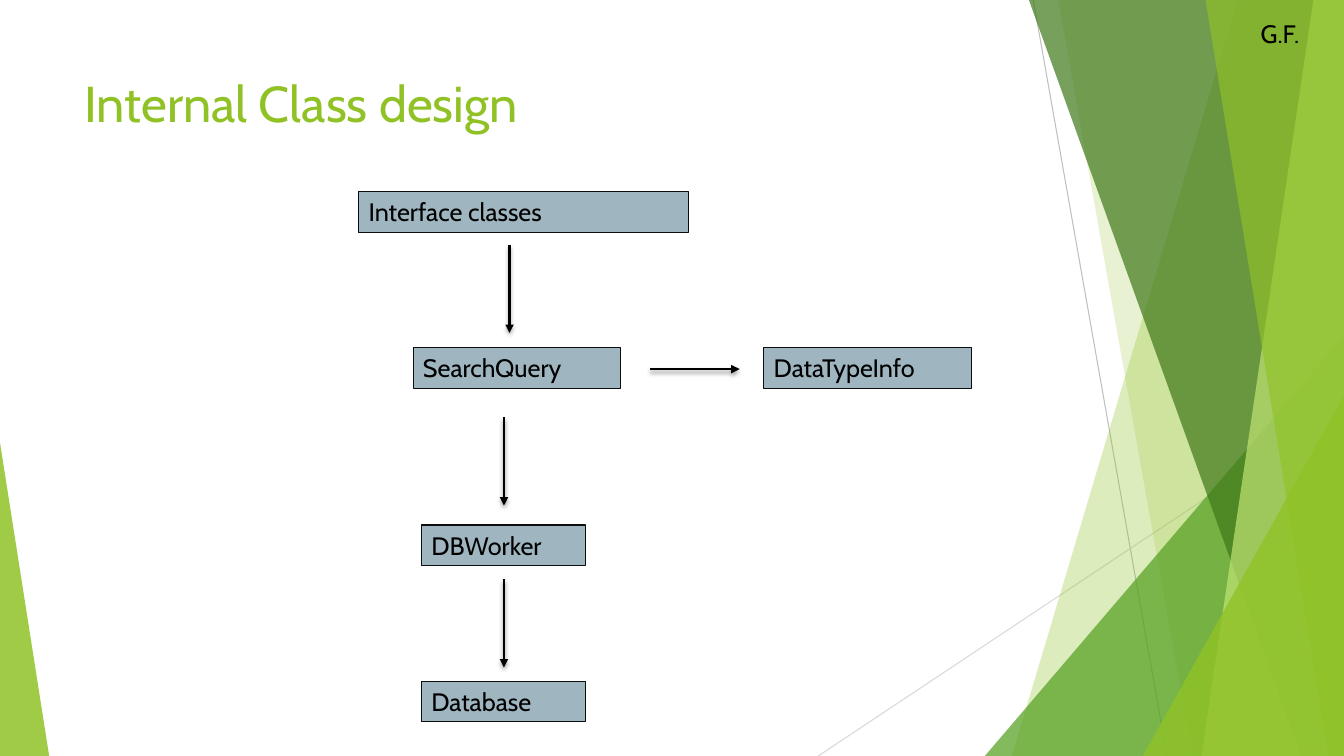
from lxml.etree import SubElement
from pptx import Presentation
from pptx.dml.color import RGBColor
from pptx.enum.shapes import MSO_CONNECTOR, MSO_SHAPE
from pptx.enum.text import MSO_ANCHOR, PP_ALIGN
from pptx.oxml.ns import qn
from pptx.util import Cm, Pt

GREEN = RGBColor(0x90, 0xC2, 0x26)
MID_GREEN = RGBColor(0x54, 0xA0, 0x21)
DARK_GREEN = RGBColor(0x3F, 0x78, 0x19)
PALE_GREEN = RGBColor(0xC0, 0xE4, 0x74)
BOX_FILL = RGBColor(0x9F, 0xB6, 0xC0)
BOX_LINE = RGBColor(0x0D, 0x0D, 0x0D)
BLACK = RGBColor(0, 0, 0)
GREY = RGBColor(0xBF, 0xBF, 0xBF)
LIGHT_GREY = RGBColor(0xD9, 0xD9, 0xD9)
WIDTH, HEIGHT = 33.87, 19.05
BOX_HEIGHT, ARROW_LENGTH = 1.02, 2.22


def apply_format(target, values):
    """Set every attribute named in the dict on the target."""
    for name, value in values.items():
        setattr(target, name, value)


def write_text(shape, text, size=18, color=BLACK, anchor=MSO_ANCHOR.TOP):
    """Put one left-aligned paragraph into a shape."""
    frame = shape.text_frame
    apply_format(frame, {"word_wrap": True, "vertical_anchor": anchor})
    paragraph = frame.paragraphs[0]
    apply_format(paragraph, {"text": text, "alignment": PP_ALIGN.LEFT})
    apply_format(paragraph.runs[0].font, {"name": "Cabin", "size": Pt(size)})
    paragraph.runs[0].font.color.rgb = color


def add_label(slide, text, left, top, width, height, **style):
    """Add a plain text box."""
    textbox = slide.shapes.add_textbox(Cm(left), Cm(top), Cm(width), Cm(height))
    write_text(textbox, text, **style)


def add_class_box(slide, text, left, top, width):
    """Add an outlined box that names a class."""
    box = slide.shapes.add_shape(
        MSO_SHAPE.RECTANGLE, Cm(left), Cm(top), Cm(width), Cm(BOX_HEIGHT))
    box.shadow.inherit = False
    box.fill.solid()
    box.fill.fore_color.rgb = BOX_FILL
    box.line.color.rgb = BOX_LINE
    box.line.width = Pt(0.75)
    write_text(box, text, anchor=MSO_ANCHOR.MIDDLE)


def add_line(slide, start, end, color, width):
    """Add a straight line and return it with its empty effect list."""
    line = slide.shapes.add_connector(
        MSO_CONNECTOR.STRAIGHT, *map(Cm, start), *map(Cm, end))
    line.line.color.rgb = color
    line.line.width = Pt(width)
    effects = SubElement(line._element.spPr, qn("a:effectLst"))
    return line, effects


def add_arrow(slide, start, end):
    """Add a black arrow with a soft shadow below it."""
    arrow, effects = add_line(slide, start, end, BLACK, 2)
    SubElement(arrow.line._get_or_add_ln(), qn("a:tailEnd"), type="triangle")
    shadow = SubElement(effects, qn("a:outerShdw"), blurRad=str(Pt(3)),
                        dist=str(Pt(2)), dir="5400000", rotWithShape="0")
    color = SubElement(shadow, qn("a:srgbClr"), val=str(BLACK))
    SubElement(color, qn("a:alpha"), val="35000")


def fill_facet(shape, color, opacity):
    """Give a facet a translucent fill without outline or shadow."""
    shape.shadow.inherit = False
    shape.line.fill.background()
    shape.fill.solid()
    shape.fill.fore_color.rgb = color
    color_element = shape._element.spPr.find(qn("a:solidFill"))[0]
    SubElement(color_element, qn("a:alpha"), val=str(opacity * 1000))


def add_band(slide, top_x, bottom_x, color, opacity):
    """Add a full-height facet from a slanted edge to the right margin."""
    builder = slide.shapes.build_freeform(Cm(top_x), 0)
    corners = [(WIDTH, 0), (WIDTH, HEIGHT), (bottom_x, HEIGHT)]
    builder.add_line_segments([(Cm(x), Cm(y)) for x, y in corners], close=True)
    fill_facet(builder.convert_to_shape(), color, opacity)


def add_corner(slide, left, top, width, apex, color, opacity):
    """Add a triangular facet that stands on the bottom margin."""
    triangle = slide.shapes.add_shape(
        MSO_SHAPE.ISOSCELES_TRIANGLE, Cm(left), Cm(top), Cm(width), Cm(HEIGHT - top))
    triangle.adjustments[0] = apex
    fill_facet(triangle, color, opacity)


def add_decoration(slide):
    """Draw the green facets from back to front."""
    add_line(slide, (26.04, 0), (29.41, HEIGHT), GREY, 0.75)
    add_line(slide, (WIDTH, 10.24), (20.62, HEIGHT), LIGHT_GREY, 0.75)
    add_band(slide, 31.19, 25.5, GREEN, 30)
    add_band(slide, 26.67, 30.05, GREEN, 20)
    add_corner(slide, 24.82, 8.46, 9.05, 1, MID_GREEN, 72)
    add_band(slide, 25.93, 32.79, DARK_GREEN, 70)
    add_band(slide, 33.1, 30.28, PALE_GREEN, 70)
    add_band(slide, 30.38, 33.48, GREEN, 65)
    add_corner(slide, 28.8, 9.98, 5.07, 1, GREEN, 80)
    add_corner(slide, 0, 11.15, 1.24, 0, GREEN, 85)


def main():
    """Build the class design slide."""
    presentation = Presentation()
    apply_format(presentation, {"slide_width": Cm(WIDTH), "slide_height": Cm(HEIGHT)})
    slide = presentation.slides.add_slide(presentation.slide_layouts[6])
    add_decoration(slide)
    add_label(slide, "Internal Class design", 1.88, 1.7, 23.88, 3.66,
              size=36, color=GREEN)
    add_label(slide, "G.F.", 31.52, 0.33, 2.2, BOX_HEIGHT)
    for text, left, top, width in (
            ("Interface classes", 9.04, 4.83, 8.31),
            ("SearchQuery", 10.41, 8.76, 5.23),
            ("DataTypeInfo", 19.25, 8.76, 5.23),
            ("DBWorker", 10.62, 13.23, 4.14),
            ("Database", 10.62, 17.17, 4.14)):
        add_class_box(slide, text, left, top, width)
    for x, top in ((12.84, 6.17), (12.7, 10.52), (12.7, 14.6)):
        add_arrow(slide, (x, top), (x, top + ARROW_LENGTH))
    add_arrow(slide, (16.38, 9.3), (18.64, 9.3))
    presentation.save("out.pptx")


main()
